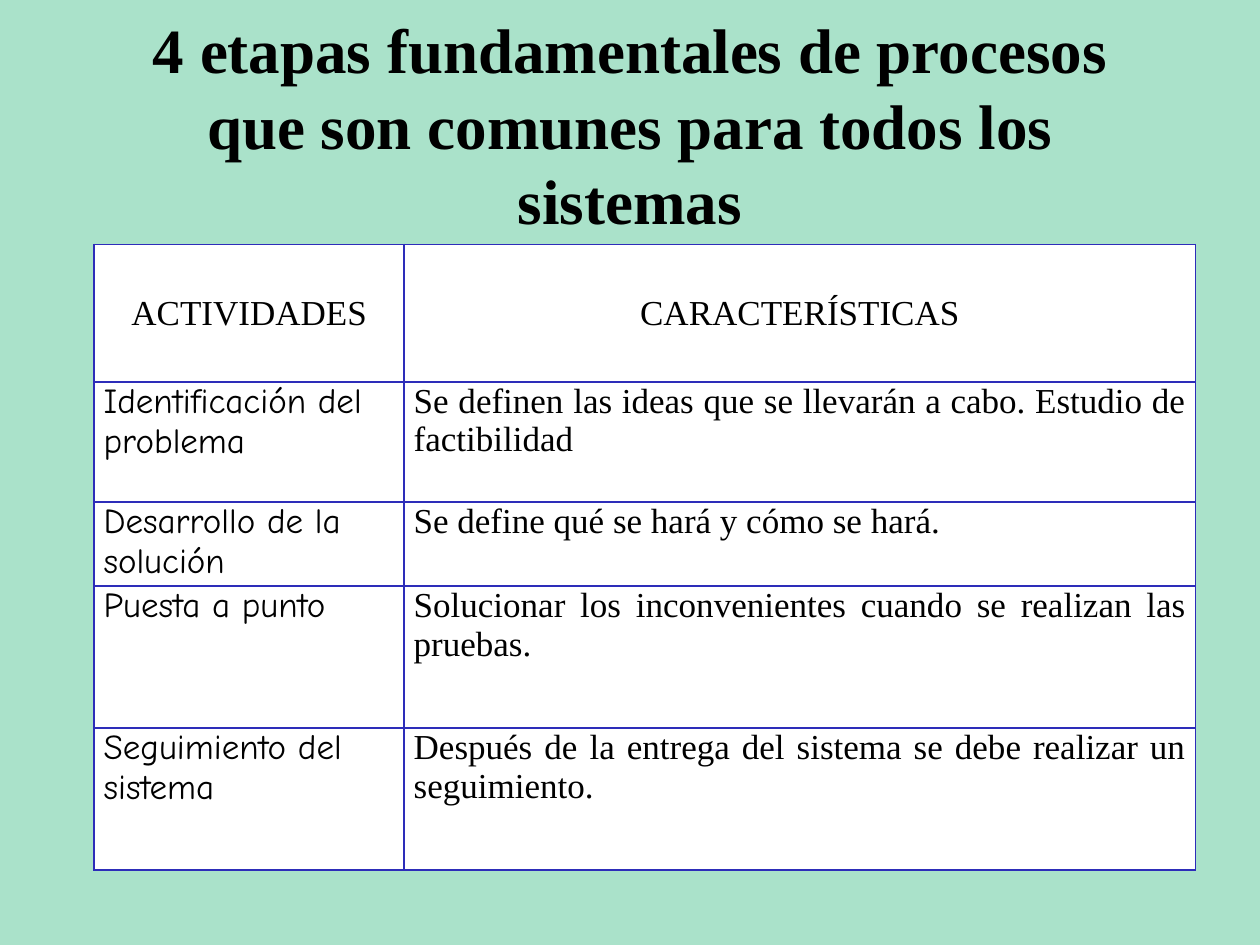
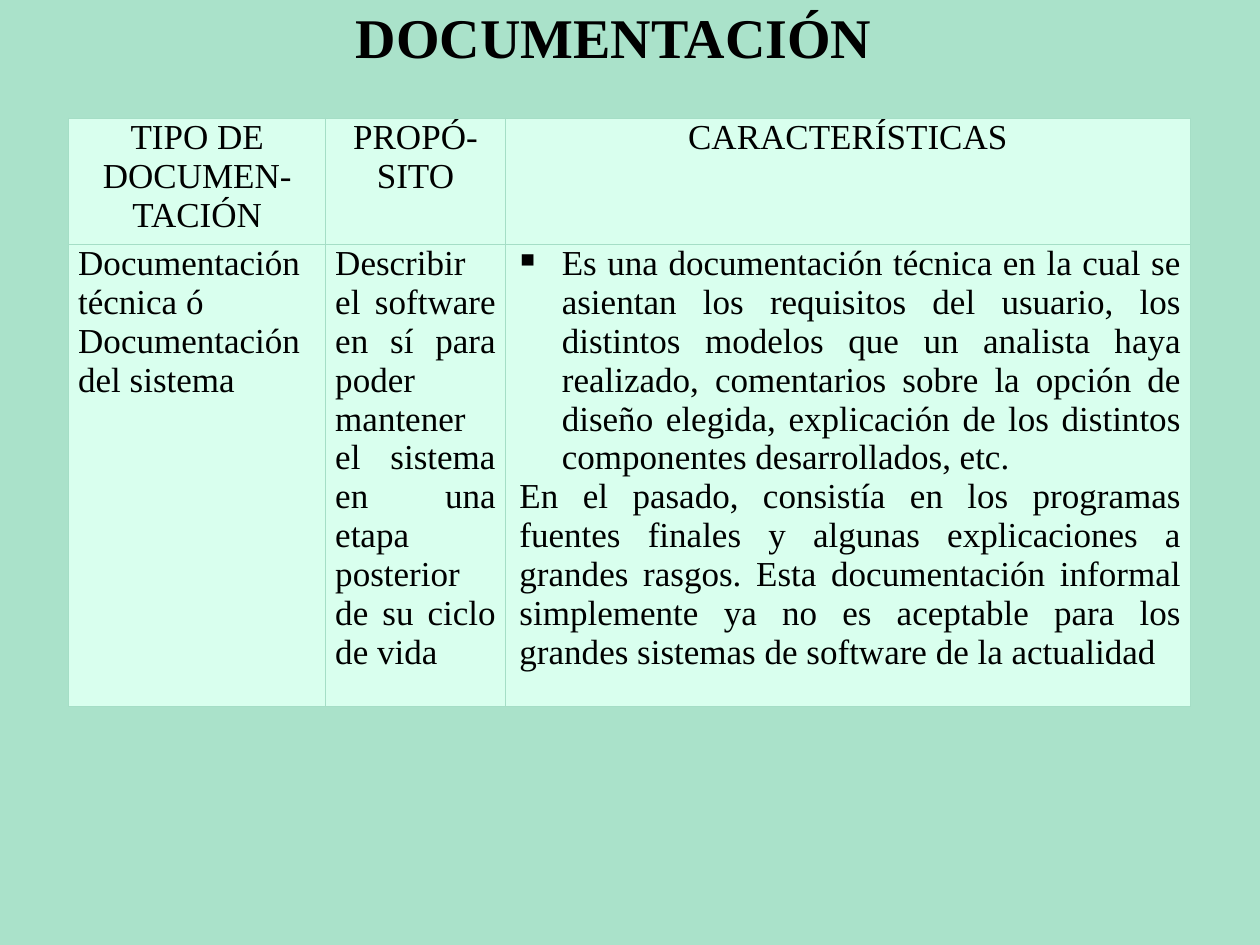
from dataclasses import dataclass

from lxml.etree import SubElement
from pptx import Presentation
from pptx.dml.color import RGBColor
from pptx.enum.text import MSO_ANCHOR as Anchor, PP_ALIGN as Align
from pptx.oxml.ns import qn
from pptx.util import Pt

COLORS = {
    "background": "AAE2CA",
    "text": "000000",
    "stages_fill": "FFFFFF",
    "stages_border": "2D2DB9",
    "documents_fill": "D9FFEE",
    "documents_border": "A5DEC6",
}
SERIF = "Times New Roman"
HANDWRITTEN = "Comic Neue"
BODY_SIZE = 20
CELL_MARGIN = 5.4
BLANK_LAYOUT = 6


@dataclass
class Title:
    text: str
    left: float
    top: float
    size: float
    width: float = 612
    line_count: int = 1


@dataclass
class Line:
    text: str
    align: Align = Align.JUSTIFY
    font: str = SERIF
    bullet: str = ""
    indent: float = 0


@dataclass
class Cell:
    lines: list[Line]
    anchor: Anchor = Anchor.TOP


@dataclass
class Grid:
    left: float
    top: float
    widths: list[float]
    heights: list[float]
    rows: list[list[Cell]]
    fill: str
    border: str
    border_width: float


def color(name: str) -> RGBColor:
    return RGBColor.from_string(COLORS[name])


def heading(*texts: str, anchor: Anchor = Anchor.TOP) -> Cell:
    return Cell([Line(text, Align.CENTER) for text in texts], anchor)


def body(*texts: str) -> Cell:
    return Cell([Line(text) for text in texts])


def activity(text: str) -> Cell:
    return Cell([Line(text, Align.LEFT, HANDWRITTEN)])


def add_span(para, text: str, font: str, size: float, bold: bool = False) -> None:
    span = para.add_run()
    span.text = text
    span.font.name = font
    span.font.size = Pt(size)
    span.font.bold = bold
    span.font.color.rgb = color("text")


def add_page(deck, title: Title):
    """Add a page with the shared background and its title."""
    page = deck.slides.add_slide(deck.slide_layouts[BLANK_LAYOUT])
    page.background.fill.solid()
    page.background.fill.fore_color.rgb = color("background")
    line_height = 1.2 * title.size
    box = page.shapes.add_textbox(Pt(title.left), Pt(title.top), Pt(title.width),
                                  Pt(line_height * title.line_count))
    frame = box.text_frame
    frame.word_wrap = True
    frame.margin_top = frame.margin_bottom = 0
    para = frame.paragraphs[0]
    para.alignment = Align.CENTER
    para.line_spacing = Pt(line_height)
    add_span(para, title.text, SERIF, title.size, bold=True)
    return page


def set_indent(para, line: Line) -> None:
    """Indent the paragraph, hanging it when it has a bullet."""
    properties = para._p.get_or_add_pPr()
    properties.set("marL", str(Pt(line.indent)))
    if line.bullet:
        properties.set("indent", str(-Pt(line.indent)))
        SubElement(properties, qn("a:buChar"), char=line.bullet)


def set_borders(cell, border: str, width: float) -> None:
    properties = cell._tc.get_or_add_tcPr()
    for side in ("L", "R", "T", "B"):
        edge = SubElement(properties, qn(f"a:ln{side}"), w=str(Pt(width)))
        fill = SubElement(edge, qn("a:solidFill"))
        SubElement(fill, qn("a:srgbClr"), val=COLORS[border])


def fill_cell(cell, content: Cell, grid: Grid) -> None:
    cell.margin_left = cell.margin_right = Pt(CELL_MARGIN)
    cell.margin_top = cell.margin_bottom = 0
    cell.vertical_anchor = content.anchor
    set_borders(cell, grid.border, grid.border_width)
    cell.fill.solid()
    cell.fill.fore_color.rgb = color(grid.fill)
    frame = cell.text_frame
    for index, line in enumerate(content.lines):
        para = frame.add_paragraph() if index else frame.paragraphs[0]
        para.alignment = line.align
        if line.indent:
            set_indent(para, line)
        add_span(para, line.text, line.font, BODY_SIZE)


def add_grid(page, grid: Grid) -> None:
    table = page.shapes.add_table(
        len(grid.heights), len(grid.widths), Pt(grid.left), Pt(grid.top),
        Pt(sum(grid.widths)), Pt(sum(grid.heights))).table
    table.first_row = table.horz_banding = False
    for column, width in zip(table.columns, grid.widths):
        column.width = Pt(width)
    for row, height, contents in zip(table.rows, grid.heights, grid.rows):
        row.height = Pt(height)
        for cell, content in zip(row.cells, contents):
            fill_cell(cell, content, grid)


STAGES = [
    ("Identificación del problema",
     "Se definen las ideas que se llevarán a cabo. Estudio de factibilidad"),
    ("Desarrollo de la solución", "Se define qué se hará y cómo se hará."),
    ("Puesta a punto",
     "Solucionar los inconvenientes cuando se realizan las pruebas."),
    ("Seguimiento del sistema",
     "Después de la entrega del sistema se debe realizar un seguimiento."),
]

STAGES_GRID = Grid(
    left=53.8, top=139.7, widths=[177.2, 452.2],
    heights=[78.5, 68.6, 46.3, 81.2, 81.2],
    rows=[[heading(text, anchor=Anchor.MIDDLE)
           for text in ("ACTIVIDADES", "CARACTERÍSTICAS")]]
    + [[activity(name), body(features)] for name, features in STAGES],
    fill="stages_fill", border="stages_border", border_width=1)

DOCUMENT_FEATURES = Cell([
    Line("Es una documentación técnica en la cual se asientan los requisitos "
         "del usuario, los distintos modelos que un analista haya realizado, "
         "comentarios sobre la opción de diseño elegida, explicación de los "
         "distintos componentes desarrollados, etc.", bullet="▪", indent=27),
    Line("En el pasado, consistía en los programas fuentes finales y algunas "
         "explicaciones a grandes rasgos. Esta documentación informal "
         "simplemente ya no es aceptable para los grandes sistemas de software "
         "de la actualidad", indent=2.8),
])

DOCUMENTS_GRID = Grid(
    left=39.3, top=67.6, widths=[146.9, 102.5, 391.7], heights=[66.4, 243.8],
    rows=[
        [heading("TIPO DE", "DOCUMEN-", "TACIÓN"), heading("PROPÓ-", "SITO"),
         heading("CARACTERÍSTICAS")],
        [body("Documentación técnica ó", "Documentación del sistema"),
         body("Describir el software en sí para poder mantener el sistema en "
              "una etapa posterior de su ciclo de vida"),
         DOCUMENT_FEATURES],
    ],
    fill="documents_fill", border="documents_border", border_width=0.75)

PAGES = [
    (Title("4 etapas fundamentales de procesos que son comunes para todos los "
           "sistemas", left=54, top=6, size=36, line_count=3), STAGES_GRID),
    (Title("DOCUMENTACIÓN", left=44.8, top=1.6, size=32), DOCUMENTS_GRID),
]


def main() -> None:
    deck = Presentation()
    deck.slide_width, deck.slide_height = Pt(720), Pt(540)
    for title, grid in PAGES:
        add_grid(add_page(deck, title), grid)
    deck.save("out.pptx")


if __name__ == "__main__":
    main()
